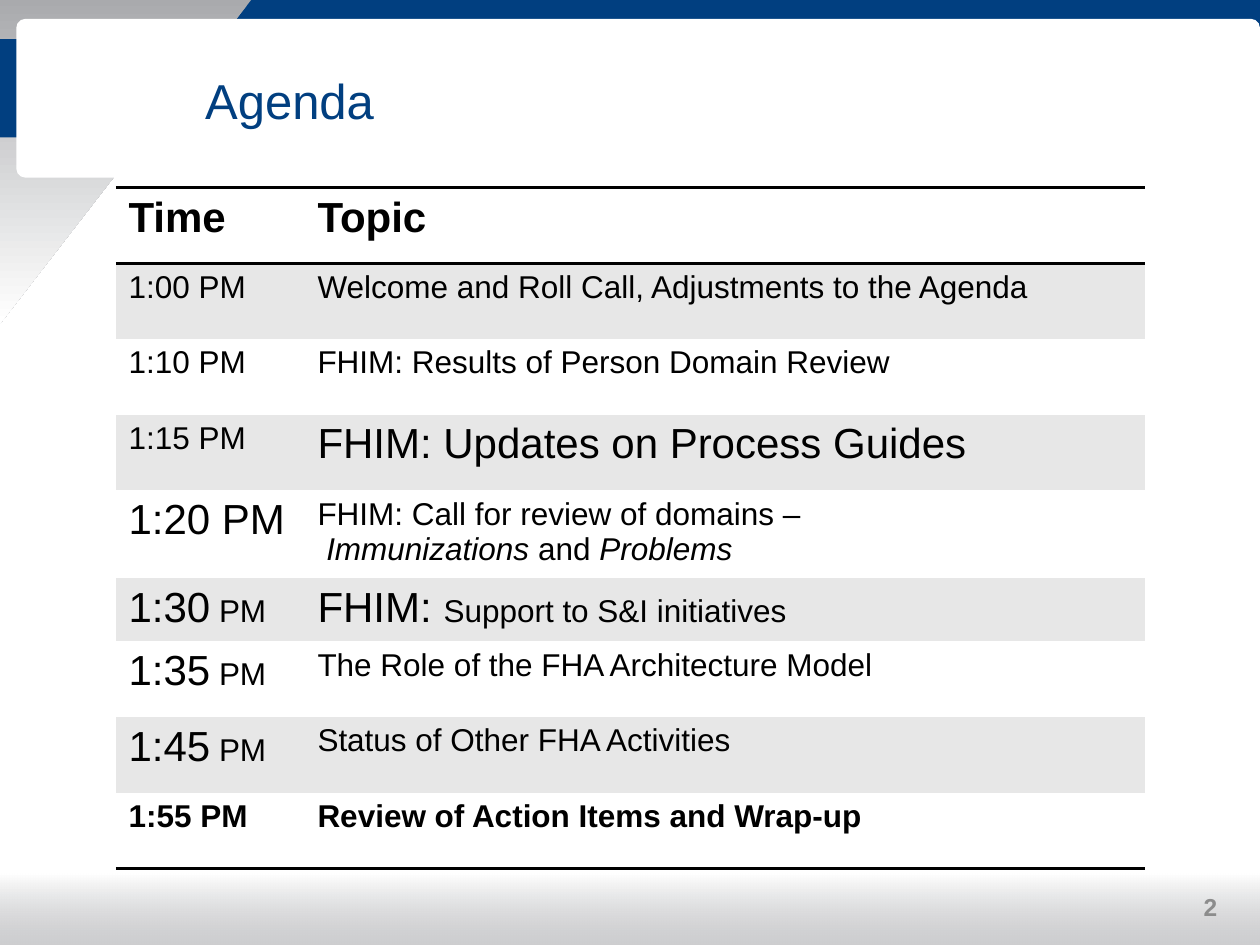
from dataclasses import dataclass

from lxml import etree
from pptx import Presentation
from pptx.dml.color import RGBColor
from pptx.enum.shapes import MSO_SHAPE
from pptx.enum.text import MSO_ANCHOR, PP_ALIGN
from pptx.oxml.ns import qn
from pptx.util import Inches, Pt

RECTANGLE = MSO_SHAPE.RECTANGLE
TRIANGLE = MSO_SHAPE.RIGHT_TRIANGLE
ROUNDED = MSO_SHAPE.ROUNDED_RECTANGLE
MIDDLE = MSO_ANCHOR.MIDDLE
LEFT, RIGHT = PP_ALIGN.LEFT, PP_ALIGN.RIGHT
PLAIN_TABLE = "{2D5ABB26-0587-4C30-8999-92F81FD0307C}"


@dataclass(frozen=True)
class Theme:
    font: str = "Arial"
    navy: str = "013F80"
    grey: str = "A9AAAD"
    band: str = "E7E7E7"
    muted: str = "8C8C8C"
    white: str = "FFFFFF"
    black: str = "000000"
    title: int = 28
    large: int = 24
    body: int = 18
    small: int = 14
    rule: int = 2


THEME = Theme()
WIDTH, HEIGHT = 10, 7.5
LARGE = {"size": THEME.large}
BOLD = {"bold": True}
ITALIC = {"italic": True}
HEADING = {**LARGE, **BOLD}


def large_time(hour):
    return [[(hour, LARGE), (" PM", {})]]


def line(text, **style):
    return [[(text, style)]]


AGENDA = [
    (line("Time", **HEADING), line("Topic", **HEADING)),
    (line("1:00 PM"), line("Welcome and Roll Call, Adjustments to the Agenda")),
    (line("1:10 PM"), line("FHIM: Results of Person Domain Review")),
    (line("1:15 PM"), line("FHIM: Updates on Process Guides", **LARGE)),
    (line("1:20 PM", **LARGE),
     [[("FHIM: Call for review of domains –", {})],
      [(" Immunizations", ITALIC), (" and ", {}), ("Problems", ITALIC)]]),
    (large_time("1:30"),
     [[("FHIM: ", LARGE), ("Support to S&I initiatives", {})]]),
    (large_time("1:35"), line("The Role of the FHA Architecture Model")),
    (large_time("1:45"), line("Status of Other FHA Activities")),
    (line("1:55 PM", **BOLD), line("Review of Action Items and Wrap-up", **BOLD)),
]


def add_span(para, text, size=THEME.body, color=THEME.black, bold=False, italic=False):
    span = para.add_run()
    span.text = text
    font = span.font
    font.name, font.size = THEME.font, Pt(size)
    font.bold, font.italic = bold, italic
    font.color.rgb = RGBColor.from_string(color)


def add_label(page, box, text, align=LEFT, **style):
    label = page.shapes.add_textbox(*map(Inches, box))
    frame = label.text_frame
    frame.word_wrap = True
    frame.vertical_anchor = MIDDLE
    para = frame.paragraphs[0]
    para.alignment = align
    add_span(para, text, **style)


def add_panel(page, box, kind=RECTANGLE, color=THEME.white):
    panel = page.shapes.add_shape(kind, *map(Inches, box))
    panel.shadow.inherit = False
    panel.line.fill.background()
    panel.fill.solid()
    panel.fill.fore_color.rgb = RGBColor.from_string(color)
    return panel


def fade_down(panel, start, end, end_alpha=100):
    panel.fill.gradient()
    panel.fill.gradient_angle = 270
    stops = panel.fill.gradient_stops
    for stop, color, position in zip(stops, (start, end), (0, 1)):
        stop.color.rgb = RGBColor.from_string(color)
        stop.position = position
    gradient = panel._element.spPr.find(qn("a:gradFill"))
    gradient.set("rotWithShape", "0")
    if end_alpha < 100:
        end_color = gradient.findall(".//" + qn("a:srgbClr"))[-1]
        etree.SubElement(end_color, qn("a:alpha"), val=str(end_alpha * 1000))


def add_header(page, box):
    left, top, width, height = box
    add_panel(page, (left + 1.59, top, width - 1.59, 0.42), color=THEME.navy)
    wedge = add_panel(page, (left - 0.29, top + 0.28, 2.58, 2), TRIANGLE)
    wedge.rotation = 90
    fade_down(wedge, THEME.grey, THEME.white)
    add_panel(page, (left, top + 0.31, 0.17, 0.78), color=THEME.navy)
    card = add_panel(page, (left + 0.13, top + 0.15, width - 0.13, height - 0.15), ROUNDED)
    card.adjustments[0] = 0.056
    add_label(page, (left + 1.53, top + 0.17, width - 1.58, 1.25), "Agenda",
              size=THEME.title, color=THEME.navy)


def add_footer(page, box):
    left, top, width, height = box
    strip = add_panel(page, box)
    fade_down(strip, THEME.white, THEME.grey, end_alpha=57)
    add_label(page, (left + width - 2.32, top + 0.05, 2.08, 0.43), "2", align=RIGHT,
              size=THEME.small, color=THEME.muted, bold=True)


def add_rule(cell, side):
    rule = etree.Element(qn("a:ln" + side), w=str(Pt(THEME.rule)))
    fill = etree.SubElement(rule, qn("a:solidFill"))
    etree.SubElement(fill, qn("a:srgbClr"), val=THEME.black)
    cell._tc.get_or_add_tcPr().insert(0, rule)


def fill_cell(cell, paragraphs, color, sides):
    cell.fill.solid()
    cell.fill.fore_color.rgb = RGBColor.from_string(color)
    frame = cell.text_frame
    for index, spans in enumerate(paragraphs):
        para = frame.add_paragraph() if index else frame.paragraphs[0]
        for text, style in spans:
            add_span(para, text, **style)
    for side in sides:
        add_rule(cell, side)


def add_agenda(page, box, short_row=5, time_width=1.5):
    left, top, width, height = box
    last = len(AGENDA) - 1
    frame = page.shapes.add_table(len(AGENDA), 2, *map(Inches, box))
    table = frame.table
    table.first_row = table.horz_banding = False
    frame._element.find(".//" + qn("a:tableStyleId")).text = PLAIN_TABLE
    for column, share in zip(table.columns, (time_width, width - time_width)):
        column.width = Inches(share)
    for index, entry in enumerate(AGENDA):
        row = table.rows[index]
        row.height = Inches(0.5 if index == short_row else 0.6)
        color = THEME.band if index % 2 else THEME.white
        sides = {0: "BT", last: "B"}.get(index, "")
        for cell, paragraphs in zip(row.cells, entry):
            fill_cell(cell, paragraphs, color, sides)


def main():
    deck = Presentation()
    deck.slide_width, deck.slide_height = Inches(WIDTH), Inches(HEIGHT)
    page = deck.slides.add_slide(deck.slide_layouts[6])
    add_footer(page, (0, 6.93, WIDTH, 0.58))
    add_header(page, (0, 0, WIDTH, 1.41))
    add_agenda(page, (0.92, 1.49, 8.17, 5.3))
    deck.save("out.pptx")


if __name__ == "__main__":
    main()
